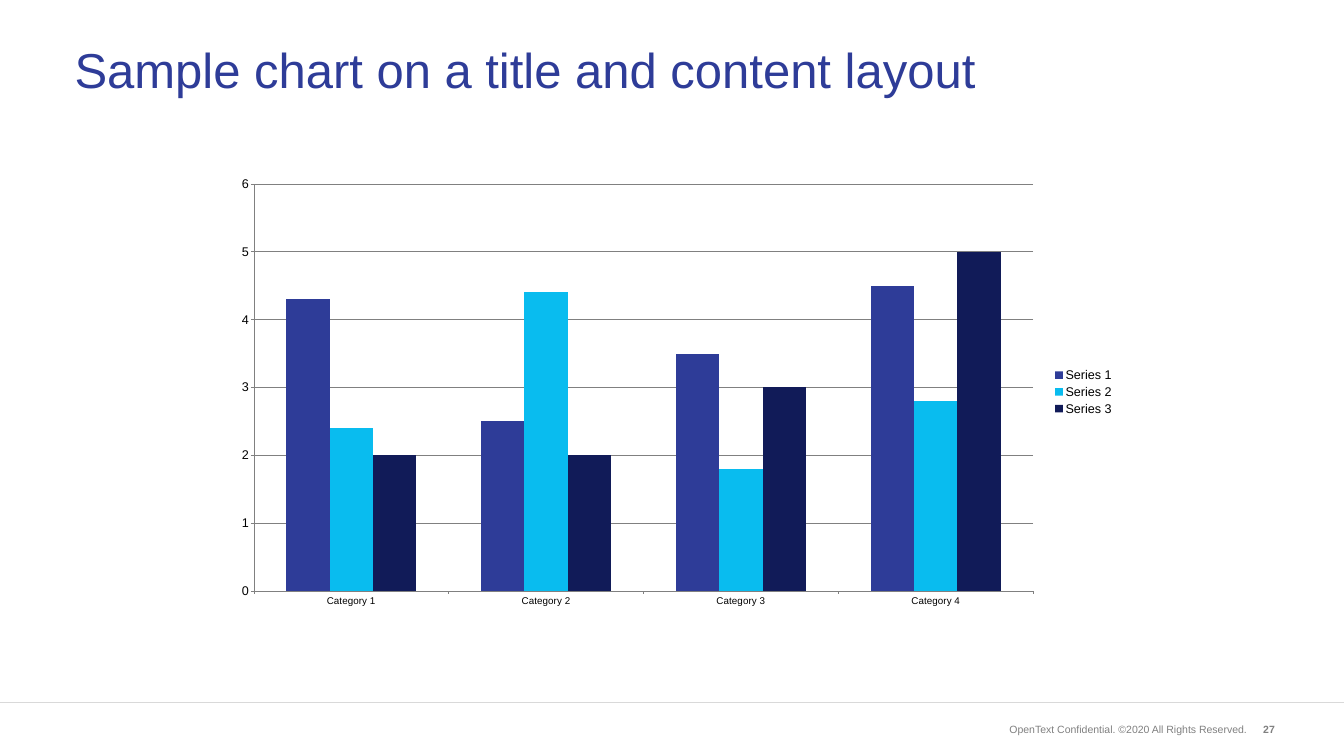
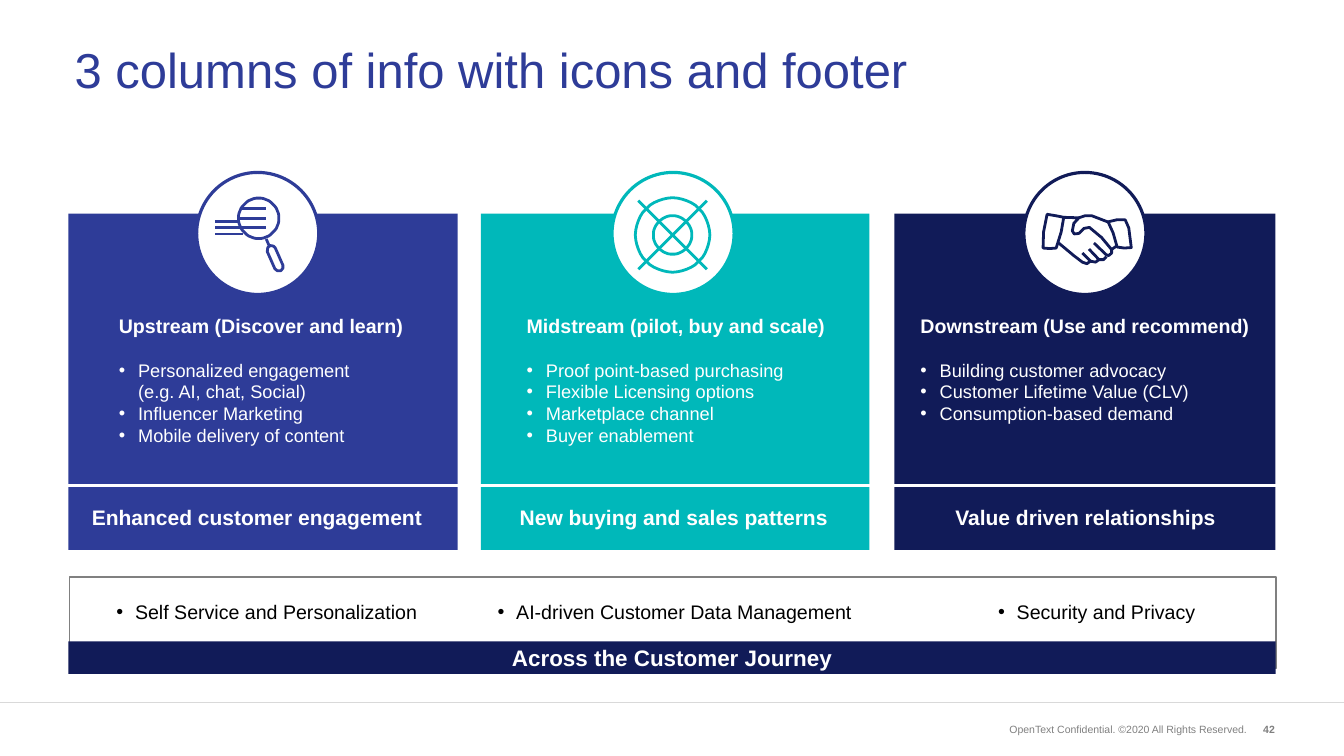
from math import cos, pi, sin

from lxml import etree
from pptx import Presentation
from pptx.chart.data import CategoryChartData
from pptx.dml.color import RGBColor
from pptx.enum.chart import XL_CHART_TYPE, XL_LEGEND_POSITION, XL_TICK_MARK
from pptx.enum.shapes import MSO_CONNECTOR, MSO_SHAPE
from pptx.enum.text import MSO_ANCHOR, MSO_AUTO_SIZE, PP_ALIGN
from pptx.oxml.ns import qn
from pptx.util import Cm, Pt

BLUE = RGBColor(0x2E, 0x3C, 0x98)
SKY = RGBColor(0x09, 0xBC, 0xEF)
TEAL = RGBColor(0x00, 0xB8, 0xBA)
NAVY = RGBColor(0x11, 0x1B, 0x58)
WHITE = RGBColor(0xFF, 0xFF, 0xFF)
BLACK = RGBColor(0, 0, 0)
GRAY = RGBColor(0x80, 0x80, 0x80)
PALE = RGBColor(0xD9, 0xD9, 0xD9)

FONT = "Arial"
LEFT, CENTER, RIGHT = PP_ALIGN.LEFT, PP_ALIGN.CENTER, PP_ALIGN.RIGHT
TOP, MIDDLE = MSO_ANCHOR.TOP, MSO_ANCHOR.MIDDLE
RECT, OVAL = MSO_SHAPE.RECTANGLE, MSO_SHAPE.OVAL
WIDE, TALL = 67.72, 38.1

FOOTER = "OpenText Confidential. ©2020 All Rights Reserved."

GROUPS = ["Category 1", "Category 2", "Category 3", "Category 4"]
SERIES = [
    ("Series 1", (4.3, 2.5, 3.5, 4.5), BLUE),
    ("Series 2", (2.4, 4.4, 1.8, 2.8), SKY),
    ("Series 3", (2, 2, 3, 5), NAVY),
]


def ring(x, y, radius, steps=48):
    turns = [2 * pi * i / steps for i in range(steps + 1)]
    return [(x + radius * cos(t), y + radius * sin(t)) for t in turns]


LENS = [
    ring(2, -30, 40),
    [(-31, -49), (17, -49)],
    [(-39, -30), (17, -30)],
    [(-84, -23), (-39, -23)],
    [(-84, -11), (17, -11)],
    [(-84, 1), (-30, 1)],
    [(17, 11), (23, 25)],
    [(19, 36), (34, 70), (39, 74), (46, 74), (50, 69), (50, 63), (35, 29),
     (31, 25), (25, 24), (20, 28), (19, 36)],
]
TARGET = [
    ring(-1, 3, 74),
    ring(-1, 3, 38),
    [(-69, -65), (67, 71)],
    [(67, -65), (-69, 71)],
]
HANDS = [
    [(-75, -38), (-82, -3), (-83, 29), (-70, 30), (-57, 29), (-47, -3),
     (-42, -32), (-57, -35), (-75, -38)],
    [(80, -27), (63, -27), (46, -23), (56, -1), (64, 27), (78, 29), (92, 28),
     (87, -11), (80, -27)],
    [(-42, -32), (-12, -31), (-22, -20), (-25, -5), (-21, 1), (-12, 0),
     (-2, -10), (9, -12), (33, 8), (53, 32), (53, 39), (47, 44), (42, 42),
     (18, 19)],
    [(-12, -31), (0, -35), (14, -35), (45, -23)],
    [(-52, 19), (-22, 44), (-5, 57), (4, 60), (11, 55), (-5, 39)],
    [(11, 55), (21, 57), (28, 52), (8, 31)],
    [(28, 52), (37, 52), (43, 46)],
    [(54, 31), (63, 25)],
]

COLUMNS = [
    {
        "color": BLUE, "card": (3.45, 19.61), "disc": 9.91, "icon": LENS,
        "head": "Upstream (Discover and learn)", "text": (5.74, 15.57),
        "items": ["Personalized engagement\n(e.g. AI, chat, Social)",
                  "Influencer Marketing", "Mobile delivery of content"],
        "result": "Enhanced customer engagement", "band": (3.45, 19),
        "base": "Self Service and Personalization", "foot": (3.45, 19),
    },
    {
        "color": TEAL, "card": (24.23, 19.58), "disc": 30.84, "icon": TARGET,
        "head": "Midstream (pilot, buy and scale)", "text": (26.29, 15.75),
        "items": ["Proof point-based purchasing", "Flexible Licensing options",
                  "Marketplace channel", "Buyer enablement"],
        "result": "New buying and sales patterns", "band": (25.86, 16.18),
        "base": "AI-driven Customer Data Management", "foot": (23.06, 20.88),
    },
    {
        "color": NAVY, "card": (45.06, 19.2), "disc": 51.59, "icon": HANDS,
        "head": "Downstream (Use and recommend)", "text": (46.13, 17.91),
        "items": ["Building customer advocacy",
                  "Customer Lifetime Value (CLV)",
                  "Consumption-based demand"],
        "result": "Value driven relationships", "band": (45.03, 19.33),
        "base": "Security and Privacy", "foot": (45.26, 19.02),
    },
]
DISC, DISC_TOP = 6.15, 8.69


def style(par, size, color, bold=False, align=LEFT):
    par.alignment = align
    font = par.font
    font.name, font.size, font.bold = FONT, Pt(size), bold
    font.color.rgb = color


def bullet(par, margin, hang):
    props = par._p.get_or_add_pPr()
    props.set("marL", str(Cm(margin)))
    props.set("indent", str(-Cm(hang)))
    etree.SubElement(props, qn("a:buFont")).set("typeface", FONT)
    etree.SubElement(props, qn("a:buChar")).set("char", "•")


def label(slide, box, text, size, color, bold=False, align=LEFT, anchor=TOP):
    frame = slide.shapes.add_textbox(*map(Cm, box)).text_frame
    frame.word_wrap = True
    frame.vertical_anchor = anchor
    par = frame.paragraphs[0]
    par.text = text
    style(par, size, color, bold, align)
    return frame


def shape(slide, kind, box, fill=None, edge=None, width=0):
    item = slide.shapes.add_shape(kind, *map(Cm, box))
    item.shadow.inherit = False
    if fill is None:
        item.fill.background()
    else:
        item.fill.solid()
        item.fill.fore_color.rgb = fill
    if edge is None:
        item.line.fill.background()
    else:
        item.line.color.rgb = edge
        item.line.width = Pt(width)
    return item


def rule(slide, left, right, y, color, width):
    line = slide.shapes.add_connector(
        MSO_CONNECTOR.STRAIGHT, Cm(left), Cm(y), Cm(right), Cm(y))
    line.line.color.rgb = color
    line.line.width = Pt(width)
    etree.SubElement(line._element.spPr, qn("a:effectLst"))


def sketch(slide, strokes, x, y, color):
    start, *rest = strokes
    pen = slide.shapes.build_freeform(*start[0], scale=Cm(0.0254))
    pen.add_line_segments(start[1:], close=False)
    for stroke in rest:
        pen.move_to(*stroke[0])
        pen.add_line_segments(stroke[1:], close=False)
    icon = pen.convert_to_shape(Cm(x), Cm(y))
    icon.shadow.inherit = False
    icon.fill.background()
    icon.line.color.rgb = color
    icon.line.width = Pt(4)


def page(deck, title, number):
    slide = deck.slides.add_slide(deck.slide_layouts[5])
    head = slide.shapes.title
    head.left, head.top, head.width, head.height = map(
        Cm, (3.5, 0.97, 60.73, 5.38))
    frame = head.text_frame
    frame.auto_size = MSO_AUTO_SIZE.NONE
    frame.vertical_anchor = MIDDLE
    par = frame.paragraphs[0]
    par.text = title
    par.line_spacing = 0.9
    style(par, 70, BLUE)
    label(slide, (49.45, 36.32, 13.64, 0.89), FOOTER, 15, GRAY,
          align=RIGHT, anchor=MIDDLE)
    label(slide, (62.69, 36.32, 1.8, 0.89), str(number), 15, GRAY, True,
          RIGHT, MIDDLE)
    rule(slide, 0, WIDE, 35.41, PALE, 1)
    return slide


def graph(slide):
    data = CategoryChartData()
    data.categories = GROUPS
    for name, values, _ in SERIES:
        data.add_series(name, values)
    chart = slide.shapes.add_chart(
        XL_CHART_TYPE.COLUMN_CLUSTERED,
        *map(Cm, (11.28, 8.46, 45.16, 22.58)), data).chart
    chart.has_title = False
    chart.font.name, chart.font.size = FONT, Pt(18)
    chart.font.color.rgb = BLACK
    chart.has_legend = True
    chart.legend.position = XL_LEGEND_POSITION.RIGHT
    chart.legend.include_in_layout = False
    plot = chart.plots[0]
    plot.gap_width, plot.overlap = 150, 0
    plot.vary_by_categories = False
    for series, (_, _, color) in zip(plot.series, SERIES):
        series.format.fill.solid()
        series.format.fill.fore_color.rgb = color
    for axis in (chart.category_axis, chart.value_axis):
        axis.major_tick_mark = XL_TICK_MARK.OUTSIDE
        axis.format.line.color.rgb = GRAY
    chart.category_axis.tick_labels.font.size = Pt(14)
    value = chart.value_axis
    value.minimum_scale, value.maximum_scale, value.major_unit = 0, 6, 1
    value.has_major_gridlines = True
    value.major_gridlines.format.line.color.rgb = GRAY


def column(slide, col):
    color = col["color"]
    left, width = col["card"]
    shape(slide, RECT, (left, 10.77, width, 16.94), color)
    shape(slide, OVAL, (col["disc"], DISC_TOP, DISC, DISC), WHITE, color, 4.5)
    sketch(slide, col["icon"], col["disc"] + DISC / 2, DISC_TOP + DISC / 2,
           color)
    left, width = col["text"]
    frame = label(slide, (left, 15.72, width, 8.13), col["head"], 28, WHITE,
                  True)
    frame.paragraphs[0].space_after = Pt(30)
    for item in col["items"]:
        par = frame.add_paragraph()
        par.text = item
        bullet(par, 0.97, 0.97)
        style(par, 26, WHITE)
    left, width = col["band"]
    label(slide, (left, 25.3, width, 1.55), col["result"], 30, WHITE, True,
          CENTER)
    left, width = col["foot"]
    frame = slide.shapes.add_textbox(
        *map(Cm, (left, 30.1, width, 1.45))).text_frame
    frame.word_wrap = True
    par = frame.paragraphs[0]
    par.text = col["base"]
    bullet(par, 1.91, 0.94)
    style(par, 28, BLACK, align=CENTER)


def main():
    deck = Presentation()
    deck.slide_width, deck.slide_height = Cm(WIDE), Cm(TALL)

    graph(page(deck, "Sample chart on a title and content layout", 27))

    slide = page(deck, "3 columns of info with icons and footer", 42)
    for col in COLUMNS:
        column(slide, col)
    rule(slide, 3.15, 66.8, 24.46, WHITE, 4.5)
    shape(slide, RECT, (3.51, 29.08, 60.78, 4.62), edge=GRAY, width=2.25)
    bar = shape(slide, RECT, (3.45, 32.33, 60.83, 1.63), NAVY)
    bar.text_frame.vertical_anchor = MIDDLE
    par = bar.text_frame.paragraphs[0]
    par.text = "Across the Customer Journey"
    style(par, 32, WHITE, True, CENTER)

    deck.save("out.pptx")


if __name__ == "__main__":
    main()
